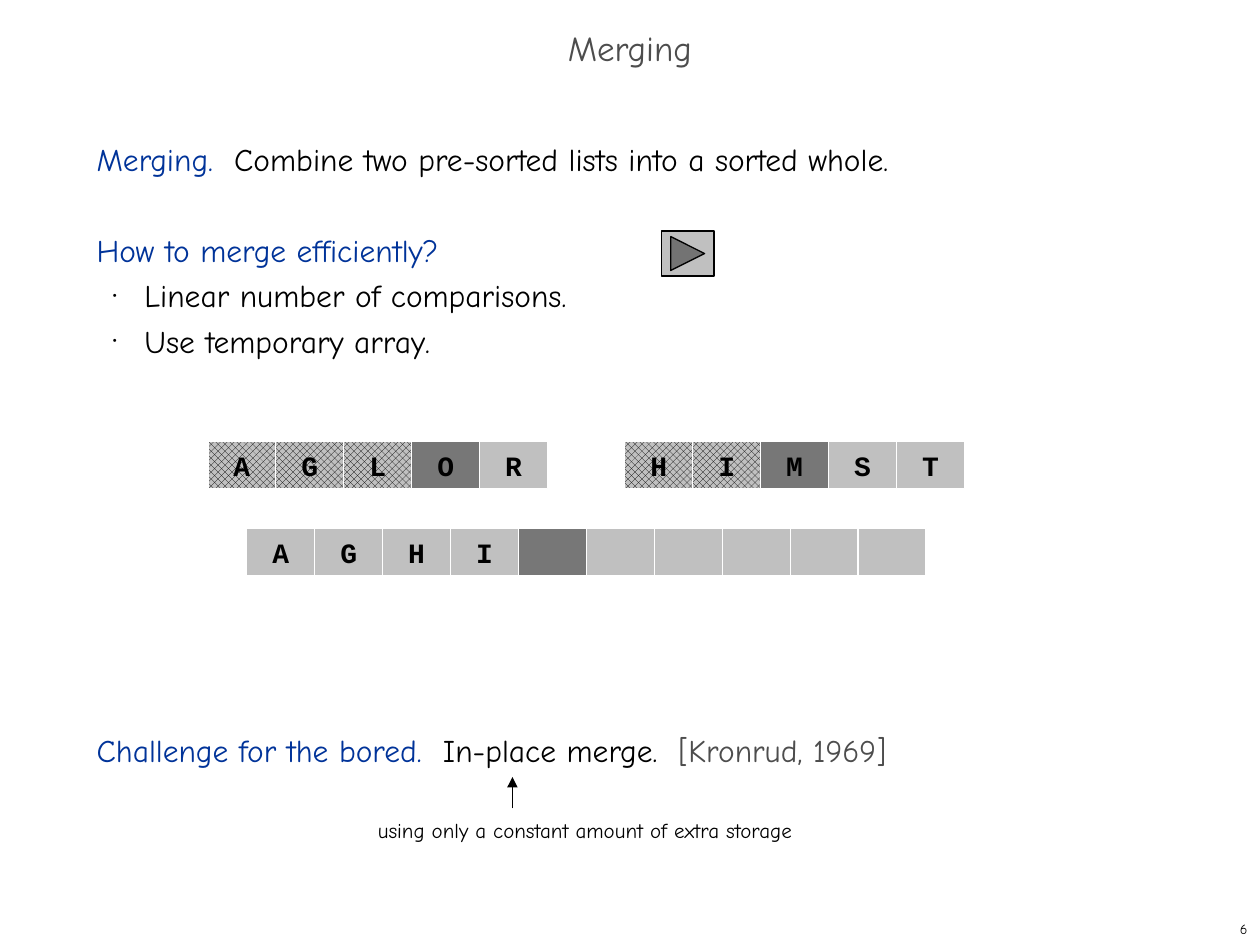
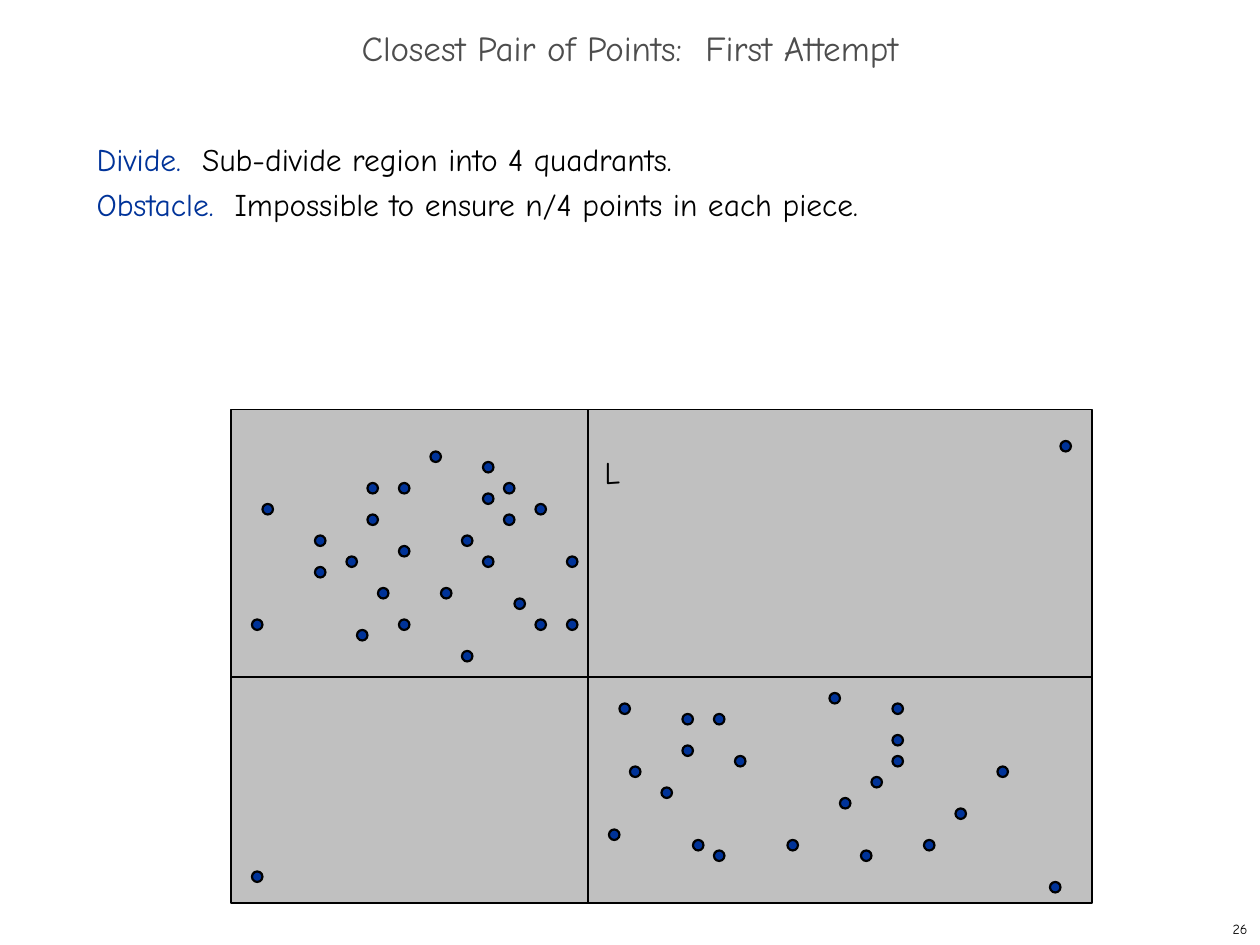
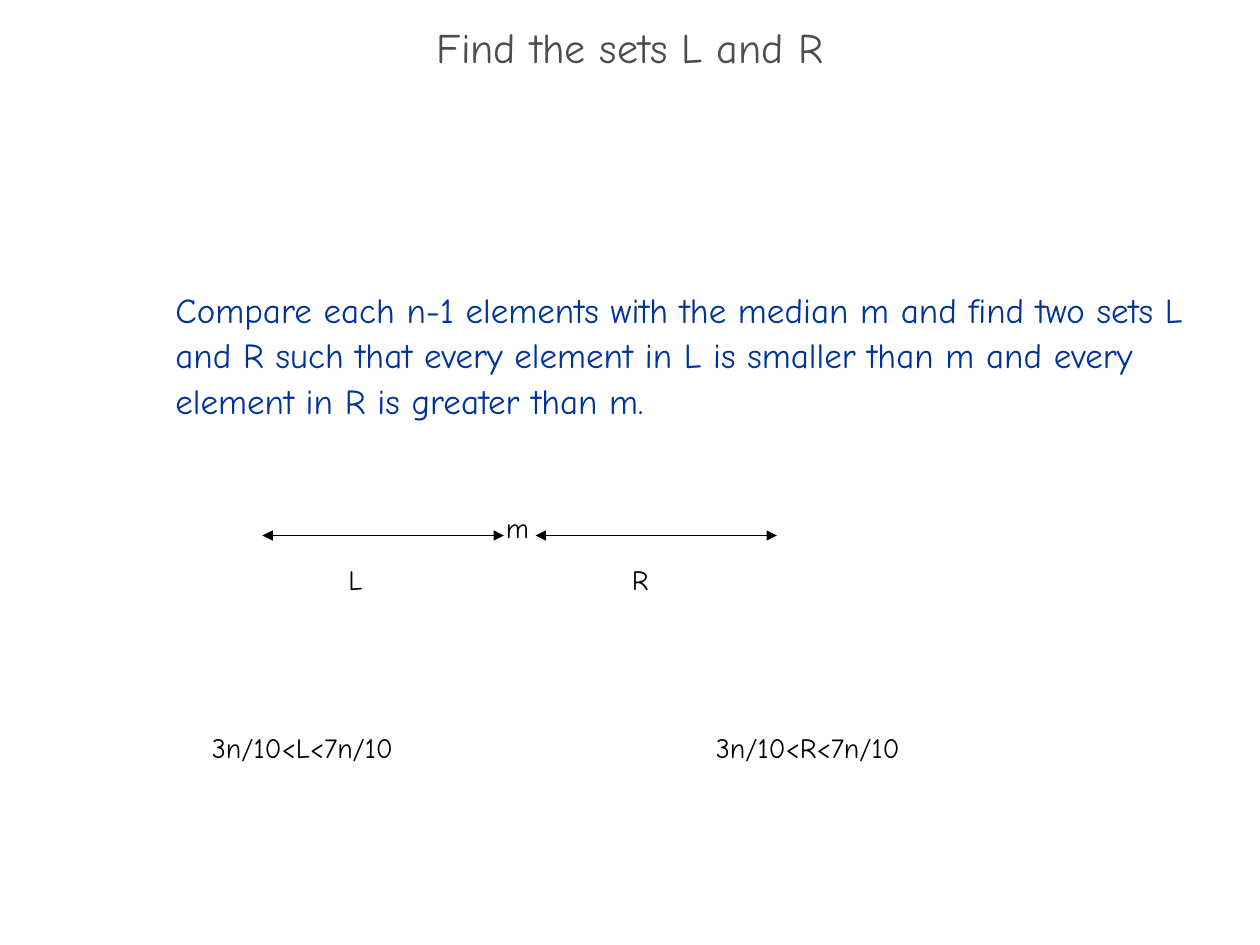
from lxml import etree
from pptx import Presentation
from pptx.dml.color import RGBColor
from pptx.enum.dml import MSO_PATTERN as Pattern
from pptx.enum.shapes import MSO_CONNECTOR as Connector, MSO_SHAPE as Shape
from pptx.enum.text import MSO_ANCHOR as Anchor, MSO_AUTO_SIZE as AutoSize, PP_ALIGN as Align
from pptx.oxml.ns import qn
from pptx.util import Inches, Pt

# Shared style: every length is counted on a grid of 120 columns by 90 rows
COLUMNS, ROWS = 120, 90
BLACK = RGBColor(0x00, 0x00, 0x00)
WHITE = RGBColor(0xFF, 0xFF, 0xFF)
BLUE = RGBColor(0x00, 0x33, 0x99)
GRAY = RGBColor(0x4D, 0x4D, 0x4D)
LIGHT = RGBColor(0xC0, 0xC0, 0xC0)
DARK = RGBColor(0x77, 0x77, 0x77)
HAND, MONO = "Comic Neue", "Courier New"
LINE_PITCH = 26
TITLE_AREA = (0, 2, COLUMNS, 6)
BODY_AREA = (8, 12, 103, 71)
NUMBER_AREA = (95, ROWS - 3, 25, 3)

# Content. A body line is (bulleted, empty lines above, spans)
MERGING = [
    (False, 0, [("Merging.  ", BLUE),
                ("Combine two pre-sorted lists into a sorted whole.", BLACK)]),
    (False, 1, [("How to merge efficiently?", BLUE)]),
    (True, 0, [("Linear number of comparisons.", BLACK)]),
    (True, 0, [("Use temporary array.", BLACK)]),
    (False, 8, [("Challenge for the bored.  ", BLUE), ("In-place merge.  ", BLACK),
                ("[Kronrud, 1969]", GRAY)]),
]
CLOSEST_PAIR = [
    (False, 0, [("Divide.  ", BLUE), ("Sub-divide region into 4 quadrants.", BLACK)]),
    (False, 0, [("Obstacle.  ", BLUE),
                ("Impossible to ensure n/4 points in each piece.", BLACK)]),
]
FIND_SETS = [
    (False, 0, [("Compare each n-1 elements with the median m and find two sets L and R "
                 "such that every element in L is smaller than m and every element in R "
                 "is greater than m.", BLUE)]),
]

# Arrays: left, top, letters, number of used cells, index of the current cell
CELL_WIDTH, CELL_HEIGHT = 6.47, 4.55
ARRAYS = [
    (19.8, 42, ["A", "G", "L", "O", "R"], 3, 3),
    (59.5, 42, ["H", "I", "M", "S", "T"], 2, 2),
    (23.5, 50.3, ["A", "G", "H", "I"] + [""] * 6, 0, 4),
]

# Region, its dividing lines and its points
REGION = (22, 39, 82, 47)
SPLIT_COLUMN, SPLIT_ROW = 56, 64.5
UPPER_LEFT = [
    (30, 54), (54, 53), (44, 51), (25, 48), (38, 52), (41, 43), (42, 56), (51, 48),
    (38, 46), (49, 57), (24, 59), (44, 62), (54, 59), (46, 44), (30, 51), (34, 60),
    (46, 47), (36, 56), (33, 53), (38, 59), (35, 46), (35, 49), (46, 53), (51, 59),
    (48, 46), (48, 49),
]
LOWER_RIGHT = [
    (58, 79), (75, 80), (100, 84), (80, 76), (68, 68), (59, 67), (66, 80), (60, 73),
    (91, 77), (70, 72), (79, 66), (82, 81), (85, 72), (95, 73), (83, 74), (88, 80),
    (85, 67), (85, 70), (63, 75), (68, 81), (65, 68), (65, 71),
]
UPPER_RIGHT, LOWER_LEFT = [(101, 42)], [(24, 83)]

# The two sets beside the median: arrow start columns, and labels with their areas
SPAN_STARTS, SPAN_LENGTH, SPAN_ROW = (25, 51), 23, 51
SET_LABELS = [
    ("m", (47, 48, 5, 4.8)), ("L", (32, 53, 5, 4.8)), ("R", (59, 53, 6, 4.8)),
    ("3n/10<L<7n/10", (19, 69, 36, 4.8)), ("3n/10<R<7n/10", (67, 69, 26, 4.8)),
]

deck = Presentation()
deck.slide_width, deck.slide_height = Inches(10), Inches(7.5)


def grid(*cells):
    return [int(deck.slide_width * cell / COLUMNS) for cell in cells]


def add_span(para, text, size, color, font=HAND, bold=False):
    span = para.add_run()
    span.text = text
    span.font.name, span.font.size, span.font.bold = font, Pt(size), bold
    span.font.color.rgb = color


def add_label(page, text, area, size, align=Align.LEFT, anchor=Anchor.TOP):
    frame = page.shapes.add_textbox(*grid(*area)).text_frame
    frame.word_wrap, frame.vertical_anchor = True, anchor
    frame.paragraphs[0].alignment = align
    add_span(frame.paragraphs[0], text, size, BLACK)


def add_box(page, kind, area, fill, line=BLACK, width=0.75):
    box = page.shapes.add_shape(kind, *grid(*area))
    box.shadow.inherit = False
    box.fill.solid()
    box.fill.fore_color.rgb = fill
    box.line.color.rgb, box.line.width = line, Pt(width)
    return box


def add_line(page, ends, width=0.75, arrows=()):
    line = page.shapes.add_connector(Connector.STRAIGHT, *grid(*ends))
    line.line.color.rgb, line.line.width = BLACK, Pt(width)
    properties = line._element.spPr
    for end in arrows:
        etree.SubElement(properties.find(qn("a:ln")), qn("a:" + end), type="triangle")
    etree.SubElement(properties, qn("a:effectLst"))


def set_bullet(para, bulleted):
    properties = para._p.get_or_add_pPr()
    properties.set("marL", str(Inches(0.38) if bulleted else 0))
    properties.set("indent", str(Inches(-0.25) if bulleted else 0))
    if bulleted:
        para.level = 1
        color = etree.SubElement(properties, qn("a:buClr"))
        etree.SubElement(color, qn("a:srgbClr"), val=str(BLACK))
        etree.SubElement(properties, qn("a:buSzPct"), val="35000")
        etree.SubElement(properties, qn("a:buChar"), char="•")
    else:
        etree.SubElement(properties, qn("a:buNone"))


def add_page(title, lines, number=None, title_size=20, body_size=18, body_area=BODY_AREA):
    page = deck.slides.add_slide(deck.slide_layouts[1])
    head, body = page.placeholders
    for holder, area in ((head, TITLE_AREA), (body, body_area)):
        holder.left, holder.top, holder.width, holder.height = grid(*area)
        holder.text_frame.auto_size = AutoSize.NONE
        holder.text_frame.word_wrap = True

    head.text_frame.vertical_anchor = Anchor.MIDDLE
    para = head.text_frame.paragraphs[0]
    para.alignment, para.line_spacing = Align.CENTER, 0.7
    add_span(para, title, title_size, GRAY)

    for index, (bulleted, gap, spans) in enumerate(lines):
        frame = body.text_frame
        para = frame.add_paragraph() if index else frame.paragraphs[0]
        para.line_spacing, para.space_before = Pt(LINE_PITCH), Pt(gap * LINE_PITCH)
        set_bullet(para, bulleted)
        for text, color in spans:
            add_span(para, text, body_size, color)

    if number:
        add_label(page, number, NUMBER_AREA, 8, Align.RIGHT, Anchor.MIDDLE)
    return page


# Merging: two sorted arrays above the merged one
page = add_page("Merging", MERGING, "6")
add_box(page, Shape.ACTION_BUTTON_FORWARD_OR_NEXT, (63, 22, 5, 4.3), LIGHT)
for left, top, letters, used, current in ARRAYS:
    for index, letter in enumerate(letters):
        area = (left + index * CELL_WIDTH, top, CELL_WIDTH, CELL_HEIGHT)
        cell = add_box(page, Shape.RECTANGLE, area, DARK if index == current else LIGHT, WHITE)
        if index < used:
            cell.fill.patterned()
            cell.fill.pattern = Pattern.OUTLINED_DIAMOND
            cell.fill.fore_color.rgb, cell.fill.back_color.rgb = BLACK, LIGHT
        if letter:
            cell.text_frame.word_wrap = False
            cell.text_frame.vertical_anchor = Anchor.MIDDLE
            para = cell.text_frame.paragraphs[0]
            para.alignment = Align.CENTER
            add_span(para, letter, 16, BLACK, MONO, True)
add_line(page, (48.8, 77, 48.8, 74), arrows=["tailEnd"])
add_label(page, "using only a constant amount of extra storage", (34.8, 77.3, 45.2, 3.6), 12)

# Closest pair: a region in four quadrants, with its points
page = add_page("Closest Pair of Points:  First Attempt", CLOSEST_PAIR, "26")
left, top, width, height = REGION
add_box(page, Shape.RECTANGLE, REGION, LIGHT, width=1)
add_line(page, (SPLIT_COLUMN, top, SPLIT_COLUMN, top + height), 1)
add_line(page, (left, SPLIT_ROW, left + width, SPLIT_ROW), 1)
add_label(page, "L", (55, 42.6, 6.6, 4.8), 18, Align.CENTER)
for column, row in UPPER_LEFT + UPPER_RIGHT + LOWER_LEFT + LOWER_RIGHT:
    add_box(page, Shape.OVAL, (column, row, 1, 1), BLUE, width=1.25)

# Sets L and R: one double arrow on each side of the median
page = add_page("Find the sets L and R", FIND_SETS, title_size=24, body_size=20,
                body_area=(15.5, 26.5, 102, 14.5))
for start in SPAN_STARTS:
    add_line(page, (start, SPAN_ROW, start + SPAN_LENGTH, SPAN_ROW),
             arrows=["headEnd", "tailEnd"])
for text, area in SET_LABELS:
    add_label(page, text, area, 16)

deck.save("out.pptx")
